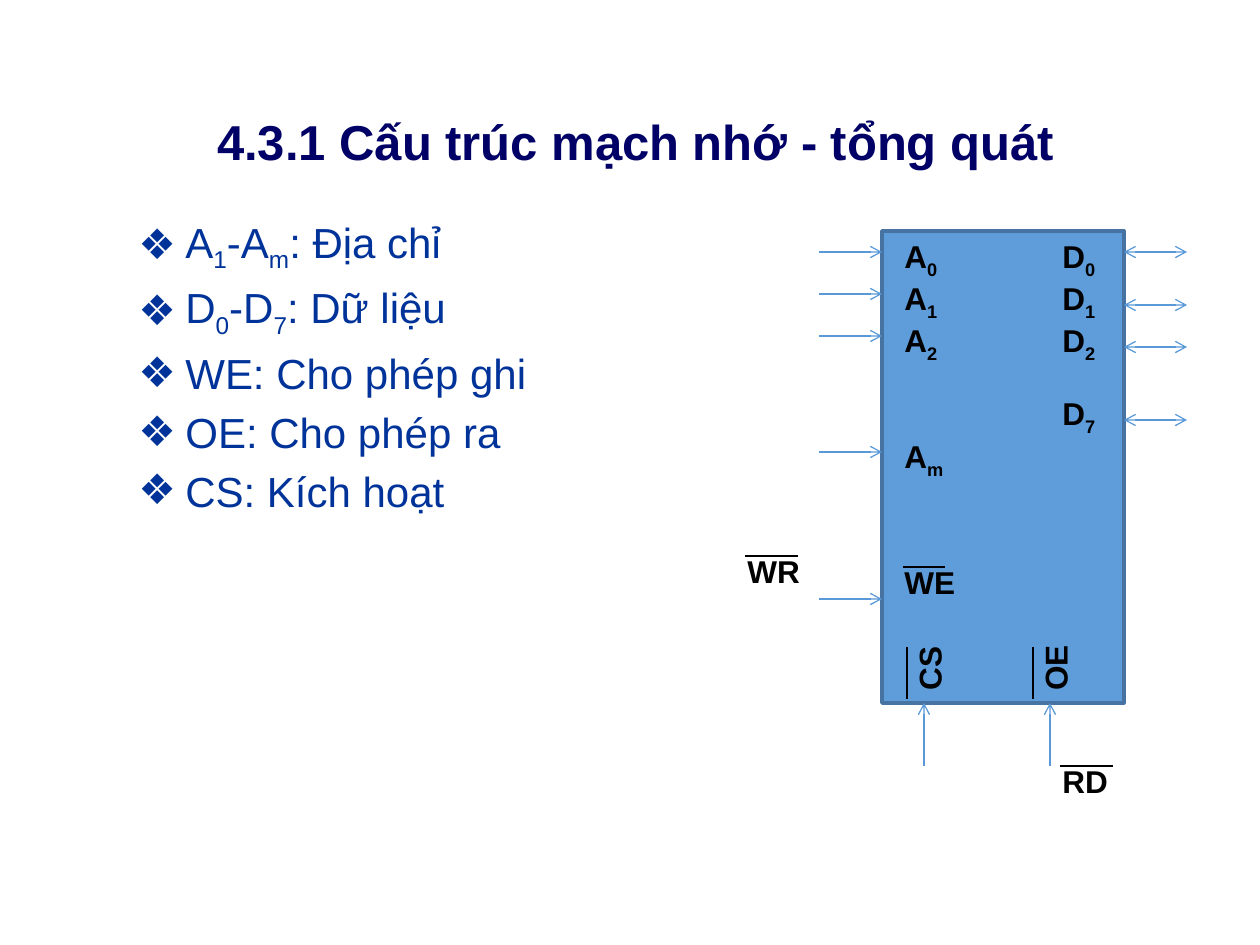
import pptx
import pptx.util
import pptx.dml.color
import pptx.enum.shapes
import pptx.enum.text
import pptx.oxml.ns
import lxml.etree
from dataclasses import dataclass

SCALE = 914400 / 126  # EMU in one px


@dataclass(frozen=True)
class Theme:
    font: str = "Arial"
    title: str = "000066"
    body: str = "003399"
    ink: str = "000000"
    chip: str = "5E9CDA"
    edge: str = "4673A1"
    wire: str = "5999D8"
    big: int = 28
    mid: int = 24
    small: int = 18


THEME = Theme()


def px(num):
    return pptx.util.Emu(round(num * SCALE))


def rgb(code):
    return pptx.dml.color.RGBColor.from_string(code)


def add_node(root, tag, **attrs):
    node = lxml.etree.SubElement(root, pptx.oxml.ns.qn(tag))
    for key, val in attrs.items():
        node.set(key, val)
    return node


def add_bullet(para, color):
    """Hanging diamond bullet, with a gap of 20% above."""
    props = para._p.get_or_add_pPr()
    props.set("marL", str(px(47)))
    props.set("indent", str(-px(47)))
    add_node(add_node(props, "a:spcBef"), "a:spcPct", val="20000")
    add_node(add_node(props, "a:buClr"), "a:srgbClr", val=color)
    add_node(props, "a:buFont", typeface=THEME.font)
    add_node(props, "a:buChar", char="❖")


def add_text(shapes, text, left, top, wide, high, size=THEME.small,
             color=THEME.ink, bold=True, center=False, bullet=False, turn=0):
    """Each line is a paragraph; parts between underscores are subscripts."""
    box = shapes.add_textbox(px(left), px(top), px(wide), px(high))
    box.rotation = turn
    frame = box.text_frame
    frame.word_wrap = True
    anchor = pptx.enum.text.MSO_ANCHOR
    frame.vertical_anchor = anchor.MIDDLE if center else anchor.TOP
    for row, line in enumerate(text.split("\n")):
        para = frame.add_paragraph() if row else frame.paragraphs[0]
        if center:
            para.alignment = pptx.enum.text.PP_ALIGN.CENTER
        if bullet:
            add_bullet(para, color)
        for part, words in enumerate(line.split("_")):
            if not words:
                continue
            run = para.add_run()
            run.text = words
            run.font.name = THEME.font
            run.font.size = pptx.util.Pt(size)
            run.font.bold = bold
            run.font.color.rgb = rgb(color)
            if part % 2:
                run._r.get_or_add_rPr().set("baseline", "-25000")


def add_line(shapes, x1, y1, x2, y2, color=THEME.ink, width=1.5, ends=()):
    kind = pptx.enum.shapes.MSO_CONNECTOR.STRAIGHT
    line = shapes.add_connector(kind, px(x1), px(y1), px(x2), px(y2))
    line.line.color.rgb = rgb(color)
    line.line.width = pptx.util.Pt(width)
    for end in ends:
        add_node(line.line._get_or_add_ln(), end, type="arrow")
    add_node(line._element.spPr, "a:effectLst")


def add_wire(shapes, x1, y1, x2, y2, both=False):
    ends = ("a:headEnd", "a:tailEnd") if both else ("a:tailEnd",)
    add_line(shapes, x1, y1, x2, y2, THEME.wire, 0.75, ends)


def add_chip(shapes, left, top, wide, high):
    rect = pptx.enum.shapes.MSO_SHAPE.RECTANGLE
    chip = shapes.add_shape(rect, px(left), px(top), px(wide), px(high))
    chip.shadow.inherit = False
    chip.fill.solid()
    chip.fill.fore_color.rgb = rgb(THEME.chip)
    chip.line.color.rgb = rgb(THEME.edge)
    chip.line.width = pptx.util.Pt(2)


def draw_memory(shapes):
    left, top, wide, high, lead = 882, 231, 242, 472, 63
    right, base = left + wide, top + high
    add_chip(shapes, left, top, wide, high)

    # Inputs on the left: name, label top, wire height
    for name, y, wire in (("A_0_", 231, 252), ("A_1_", 273, 294),
                          ("A_2_", 315, 336), ("A_m_", 431, 452),
                          ("WE", 557, 599)):
        add_wire(shapes, left - lead, wire, left, wire)
        add_text(shapes, name, left + 10, y, 84, 50)
    add_line(shapes, 903, 567, 945, 567, width=1.25)

    # Two-way data pins on the right
    for name, y, wire in (("D_0_", 231, 252), ("D_1_", 273, 305),
                          ("D_2_", 315, 347), ("D_7_", 388, 420)):
        add_wire(shapes, right, wire, right + lead, wire, both=True)
        add_text(shapes, name, 1050, y, 63, 50)

    # Control pins at the bottom, read upwards
    for name, x in (("CS", 924), ("OE", 1050)):
        add_wire(shapes, x, base + lead, x, base)
        add_text(shapes, name, x - 37, 636, 84, 50, turn=270)
        add_line(shapes, x - 17, 699, x - 17, 647)

    # Outer signals, active low
    for name, x, y in (("WR", 735, 546), ("RD", 1050, 756)):
        add_text(shapes, name, x, y, 95, 50)
        add_line(shapes, x + 10, y + 10, x + 63, y + 10)


def main():
    deck = pptx.Presentation()
    deck.slide_width, deck.slide_height = px(1260), px(945)
    slide = deck.slides.add_slide(deck.slide_layouts[6])

    # Title and pin meanings
    add_text(slide.shapes, "4.3.1 Cấu trúc mạch nhớ - tổng quát",
             32, 105, 1207, 72, size=THEME.big, color=THEME.title, center=True)
    pins = ("A_1_-A_m_: Địa chỉ", "D_0_-D_7_: Dữ liệu", "WE: Cho phép ghi",
            "OE: Cho phép ra", "CS: Kích hoạt")
    add_text(slide.shapes, "\n".join(pins), 126, 210, 473, 645,
             size=THEME.mid, color=THEME.body, bold=False, bullet=True)

    # Memory chip diagram
    draw_memory(slide.shapes.add_group_shape().shapes)
    deck.save("out.pptx")


if __name__ == "__main__":
    main()
